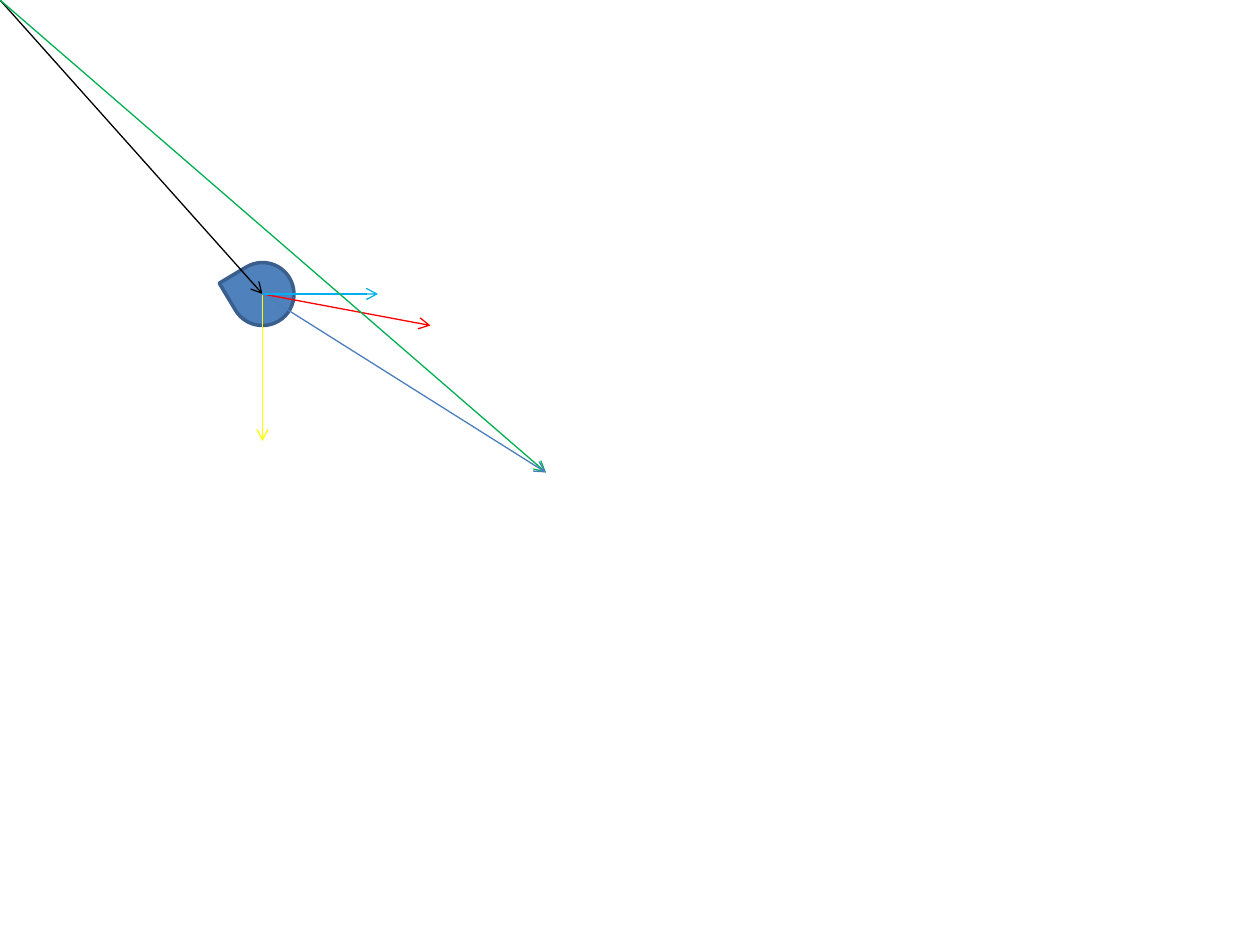
from lxml import etree
from pptx import Presentation
from pptx import util as u
from pptx.dml.color import RGBColor
from pptx.enum import shapes
from pptx.oxml import ns

BLACK = RGBColor(0x00, 0x00, 0x00)
RED = RGBColor(0xFF, 0x00, 0x00)
YELLOW = RGBColor(0xFF, 0xFF, 0x00)
SKY = RGBColor(0x00, 0xB0, 0xF0)
GREEN = RGBColor(0x00, 0xB0, 0x50)
BLUE = RGBColor(0x4B, 0x7E, 0xBC)
BODY = RGBColor(0x4F, 0x81, 0xBD)
EDGE = RGBColor(0x3A, 0x5F, 0x8C)


class Sketch:
    """Draws the shapes of a vector diagram on one slide."""

    def __init__(self, slide, thin=0.75, thick=2):
        self.slide = slide
        self.thin = thin
        self.thick = thick

    def drop(self, mid, size, turn):
        left, top = (u.Pt(c - size / 2) for c in mid)
        shape = self.slide.shapes.add_shape(
            shapes.MSO_SHAPE.TEAR, left, top, u.Pt(size), u.Pt(size))
        shape.rotation = turn
        shape.shadow.inherit = False
        shape.fill.solid()
        shape.fill.fore_color.rgb = BODY
        shape.line.color.rgb = EDGE
        shape.line.width = u.Pt(self.thick)

    def arrow(self, start, end, color):
        ends = [u.Pt(c) for c in start + end]
        line = self.slide.shapes.add_connector(
            shapes.MSO_CONNECTOR.STRAIGHT, *ends)
        line.line.color.rgb = color
        line.line.width = u.Pt(self.thin)
        props = line.line._get_or_add_ln()
        etree.SubElement(props, ns.qn("a:tailEnd"), type="arrow")
        etree.SubElement(line._element.spPr, ns.qn("a:effectLst"))


def main():
    deck = Presentation()
    deck.slide_width, deck.slide_height = u.Pt(720), u.Pt(540)
    sketch = Sketch(deck.slides.add_slide(deck.slide_layouts[6]))

    zero, mid, goal = (0, 0), (150, 168), (312, 270)
    sketch.drop(mid, 36, 239.1)
    for start, end, color in (
        (zero, mid, BLACK),
        (mid, (246, 186), RED),
        (mid, (150, 252), YELLOW),
        (mid, (216, 168), SKY),
        (zero, goal, GREEN),
        (mid, goal, BLUE),
    ):
        sketch.arrow(start, end, color)
    deck.save("out.pptx")


if __name__ == "__main__":
    main()
